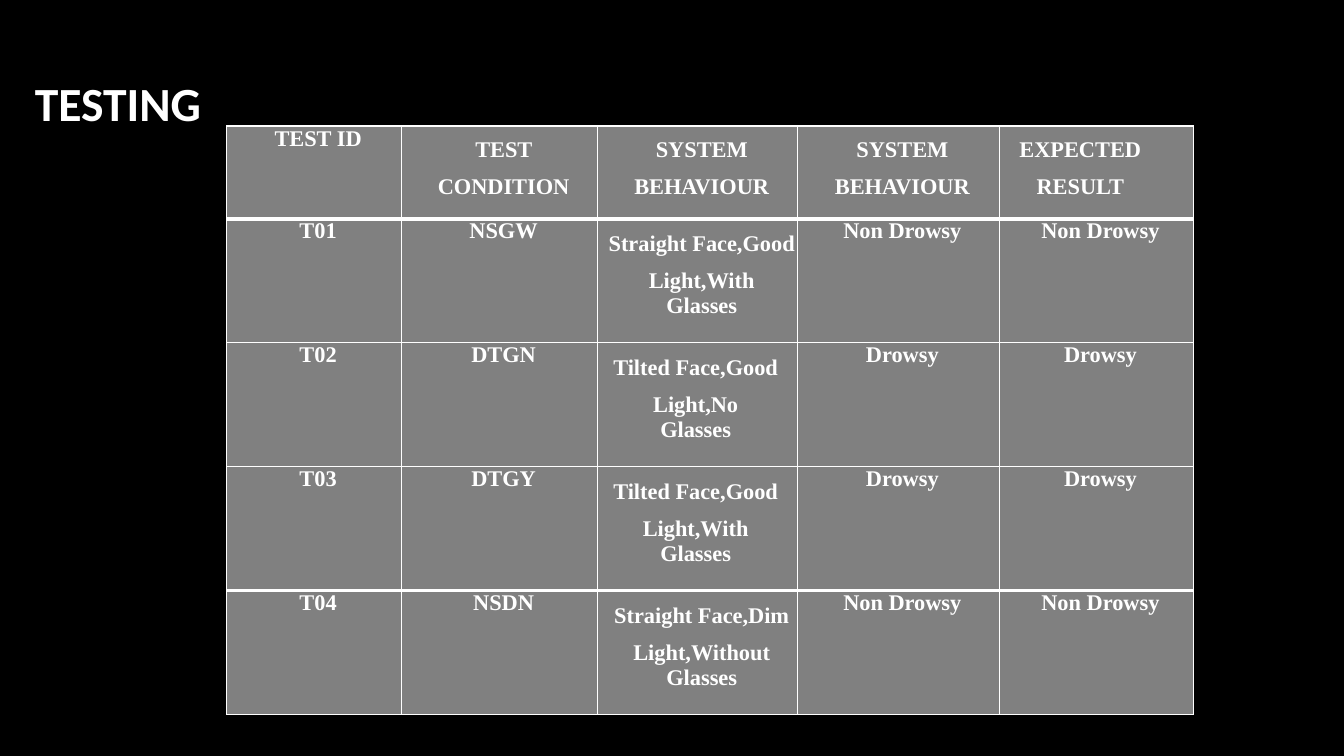
from lxml import etree
from pptx import Presentation
from pptx import util as u
from pptx.dml.color import RGBColor
from pptx.enum import text
from pptx.oxml import ns

BLACK = RGBColor(0x00, 0x00, 0x00)
WHITE = RGBColor(0xFF, 0xFF, 0xFF)
GRAY = RGBColor(0x80, 0x80, 0x80)

COLUMN_WIDTHS = [1.73, 1.95, 1.98, 2, 1.93]
ROW_HEIGHTS = [0.92] + [1.23] * 4
HEADERS = ["TEST ID", "TEST CONDITION", "SYSTEM BEHAVIOUR", "SYSTEM BEHAVIOUR", "EXPECTED RESULT"]
TEST_CASES = [
    ["T01", "NSGW", "Straight Face,Good Light,With\nGlasses", "Non Drowsy", "Non Drowsy"],
    ["T02", "DTGN", "Tilted Face,Good Light,No\nGlasses", "Drowsy", "Drowsy"],
    ["T03", "DTGY", "Tilted Face,Good Light,With\nGlasses", "Drowsy", "Drowsy"],
    ["T04", "NSDN", "Straight Face,Dim Light,Without\nGlasses", "Non Drowsy", "Non Drowsy"],
]
THICK_RULES = {1, 4}
RIGHT_INDENTS = {(0, 4): 0.4, (2, 2): 0.12, (3, 2): 0.12}


class TestingSlide:
    def __init__(self, presentation):
        self.title_font = "Calibri"
        self.table_font = "Times New Roman"
        self.slide = presentation.slides.add_slide(presentation.slide_layouts[6])
        background = self.slide.background.fill
        background.solid()
        background.fore_color.rgb = BLACK

    def format_paragraph(self, paragraph, font_name, size):
        paragraph.alignment = text.PP_ALIGN.CENTER
        for run in paragraph.runs:
            run.font.name = font_name
            run.font.size = u.Pt(size)
            run.font.bold = True
            run.font.color.rgb = WHITE

    def add_title(self, words, left, top, width, height):
        shape = self.slide.shapes.add_textbox(*map(u.Inches, (left, top, width, height)))
        frame = shape.text_frame
        frame.word_wrap = True
        frame.vertical_anchor = text.MSO_ANCHOR.MIDDLE
        frame.text = words
        paragraph = frame.paragraphs[0]
        paragraph.line_spacing = 0.9
        self.format_paragraph(paragraph, self.title_font, 34)

    def add_borders(self, cell, row):
        properties = cell._tc.get_or_add_tcPr()
        widths = {
            "lnL": 1,
            "lnR": 1,
            "lnT": 3 if row in THICK_RULES else 1,
            "lnB": 3 if row + 1 in THICK_RULES else 1,
        }
        for side, width in widths.items():
            line = etree.SubElement(properties, ns.qn(f"a:{side}"), w=str(u.Pt(width)))
            fill = etree.SubElement(line, ns.qn("a:solidFill"))
            etree.SubElement(fill, ns.qn("a:srgbClr"), val=str(WHITE))

    def fill_cell(self, cell, words, row, column):
        cell.margin_left = cell.margin_right = cell.margin_top = cell.margin_bottom = 0
        self.add_borders(cell, row)
        cell.fill.solid()
        cell.fill.fore_color.rgb = GRAY
        cell.text_frame.text = words
        for index, paragraph in enumerate(cell.text_frame.paragraphs):
            self.format_paragraph(paragraph, self.table_font, 16)
            properties = paragraph._p.get_or_add_pPr()
            properties.set("marL", str(u.Inches(0.08)))
            properties.set("marR", str(u.Inches(RIGHT_INDENTS.get((row, column), 0))))
            if index == 0 and " " in words and words != "TEST ID" and words != "Non Drowsy":
                paragraph.line_spacing = 1.48 if row == 0 else 1.5
            elif index == 0:
                paragraph.space_before = u.Pt(0.1)

    def add_table(self, rows, left, top):
        table = self.slide.shapes.add_table(
            len(rows), len(COLUMN_WIDTHS), u.Inches(left), u.Inches(top),
            u.Inches(sum(COLUMN_WIDTHS)), u.Inches(sum(ROW_HEIGHTS)),
        ).table
        for column, width in zip(table.columns, COLUMN_WIDTHS):
            column.width = u.Inches(width)
        for row, height in zip(table.rows, ROW_HEIGHTS):
            row.height = u.Inches(height)
        for row, values in enumerate(rows):
            for column, words in enumerate(values):
                self.fill_cell(table.cell(row, column), words, row, column)


def main():
    presentation = Presentation()
    presentation.slide_width = u.Inches(13.33)
    presentation.slide_height = u.Inches(7.5)
    slide = TestingSlide(presentation)
    slide.add_title("TESTING", 0, 0.67, 2.34, 0.76)
    slide.add_table([HEADERS] + TEST_CASES, 2.25, 1.25)
    presentation.save("out.pptx")


if __name__ == "__main__":
    main()
